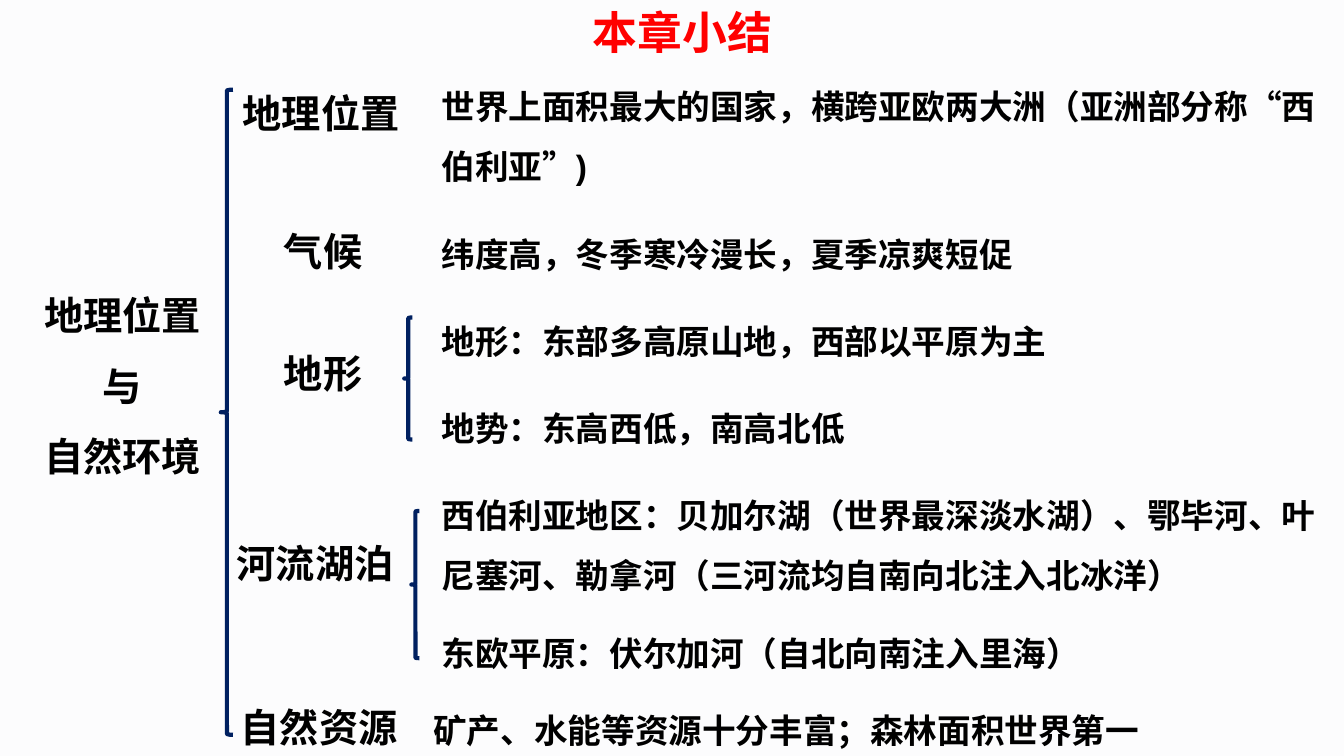
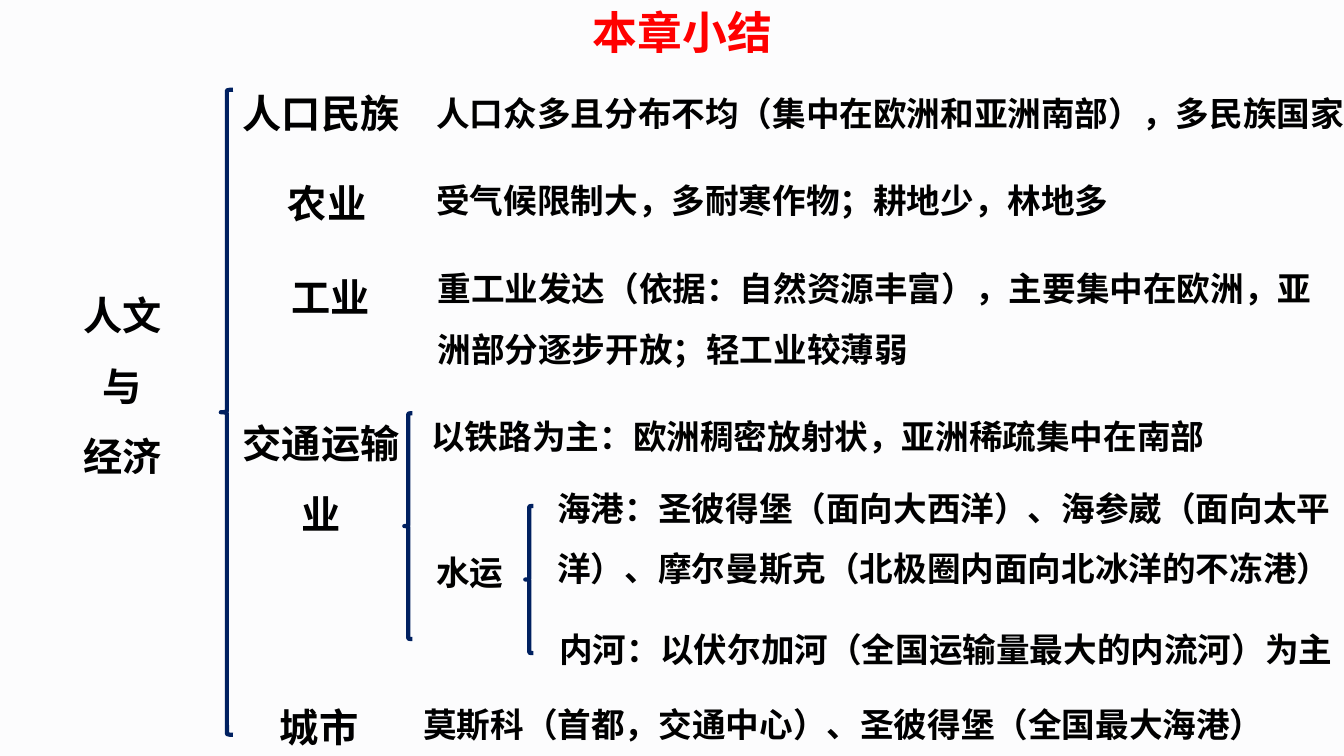
from dataclasses import dataclass

from lxml.etree import SubElement
from pptx import Presentation
from pptx.dml.color import RGBColor
from pptx.enum.shapes import MSO_SHAPE
from pptx.enum.text import MSO_AUTO_SIZE, PP_ALIGN
from pptx.oxml.ns import qn
from pptx.util import Pt

PX = 9144
PAPER = RGBColor(0xFC, 0xFC, 0xFD)
RED = RGBColor(0xFF, 0x00, 0x00)
BLACK = RGBColor(0x00, 0x00, 0x00)
NAVY = RGBColor(0x00, 0x20, 0x60)
LATIN_FONT = "Arial"
HAN_FONT = "Noto Sans CJK SC"
TITLE = "本章小结"
LABEL_SIZE, DETAIL_SIZE = 28, 24
LABEL_WIDTH, DETAIL_WIDTH = 183, 905


@dataclass
class Detail:
    """A statement, placed from the corner of its branch."""
    text: str
    dx: int
    dy: int
    lines: int = 1
    width: int = DETAIL_WIDTH


@dataclass
class Brace:
    """A brace, placed from the corner of its branch."""
    dx: int
    dy: int
    height: int


@dataclass
class Branch:
    """One topic with its statements and braces."""
    label: str
    left: int
    top: int
    details: tuple
    braces: tuple = ()
    lines: int = 1


def px(*lengths):
    """Turn px lengths into EMU."""
    return [length * PX for length in lengths]


def add_text(slide, text, box, size, color=BLACK, font=LATIN_FONT,
             align=None, spacing=None, wrap=True):
    """Add bold text that grows its box."""
    frame = slide.shapes.add_textbox(*px(*box)).text_frame
    frame.text = text
    frame.word_wrap = wrap
    frame.auto_size = MSO_AUTO_SIZE.SHAPE_TO_FIT_TEXT
    for paragraph in frame.paragraphs:
        paragraph.alignment = align
        paragraph.line_spacing = spacing
        for run in paragraph.runs:
            run.font.name = font
            run.font.size = Pt(size)
            run.font.bold = True
            run.font.color.rgb = color
            SubElement(run.font._element, qn("a:ea"), typeface=HAN_FONT)


def add_lines(slide, text, left, top, width, lines, size, align=None):
    """Add text at 1.5 line spacing in a box as tall as its lines."""
    height = 11 + lines * size * 5 // 2
    add_text(slide, text, (left, top, width, height), size,
             align=align, spacing=1.5)


def add_label(slide, text, left, top, lines):
    """Add a centred topic label."""
    add_lines(slide, text, left, top, LABEL_WIDTH, lines, LABEL_SIZE,
              PP_ALIGN.CENTER)


def add_brace(slide, left, top, width, height):
    """Add an unfilled navy left brace."""
    brace = slide.shapes.add_shape(MSO_SHAPE.LEFT_BRACE,
                                   *px(left, top, width, height))
    brace.shadow.inherit = False
    brace.fill.background()
    brace.line.color.rgb = NAVY
    brace.line.width = Pt(3)


def add_branch(slide, branch):
    """Place a label, its braces and its details from the branch corner."""
    left, top = branch.left, branch.top
    add_label(slide, branch.label, left, top, branch.lines)
    for brace in branch.braces:
        add_brace(slide, left + brace.dx, top + brace.dy, 8, brace.height)
    for detail in branch.details:
        add_lines(slide, detail.text, left + detail.dx, top + detail.dy,
                  detail.width, detail.lines, DETAIL_SIZE)


def add_summary(deck, theme_lines, branches):
    """Build one summary slide: title, theme, main brace and branches."""
    slide = deck.slides.add_slide(deck.slide_layouts[6])
    add_text(slide, TITLE, (578, 0, 198, 64), 32, RED, HAN_FONT, wrap=False)
    add_label(slide, "\n".join(theme_lines), 30, 261, len(theme_lines))
    add_brace(slide, 219, 89, 12, 640)
    for branch in branches:
        add_branch(slide, branch)


ENVIRONMENT = (
    Branch("地理位置", 227, 60, (
        Detail("世界上面积最大的国家，横跨亚欧两大洲（亚洲部分称“西伯利亚”)", 201, 0, 2),)),
    Branch("气候", 229, 197, (
        Detail("纬度高，冬季寒冷漫长，夏季凉爽短促", 199, 10),)),
    Branch("地形", 229, 318, (
        Detail("地形：东部多高原山地，西部以平原为主", 199, -25),
        Detail("地势：东高西低，南高北低", 199, 62)),
        (Brace(172, -3, 121),)),
    Branch("河流湖泊", 221, 507, (
        Detail("西伯利亚地区：贝加尔湖（世界最深淡水湖）、鄂毕河、叶尼塞河、"
               "勒拿河（三河流均自南向北注入北冰洋）", 207, -41, 2),
        Detail("东欧平原：伏尔加河（自北向南注入里海）", 207, 96)),
        (Brace(187, 0, 146),)),
    Branch("自然资源", 225, 669, (
        Detail("矿产、水能等资源十分丰富；森林面积世界第一", 195, 10),)),
)

ECONOMY = (
    Branch("人口民族", 227, 60, (
        Detail("人口众多且分布不均（集中在欧洲和亚洲南部），多民族国家", 196, 7,
               width=1003),)),
    Branch("农业", 233, 150, (
        Detail("受气候限制大，多耐寒作物；耕地少，林地多", 190, 4),)),
    Branch("工业", 236, 243, (
        Detail("重工业发达（依据：自然资源丰富），主要集中在欧洲，"
               "亚洲部分逐步开放；轻工业较薄弱", 188, -2, 2),)),
    Branch("交通运输业", 227, 388, (
        Detail("以铁路为主：欧洲稠密放射状，亚洲稀疏集中在南部", 191, 0),
        Detail("水运", 196, 135),
        Detail("海港：圣彼得堡（面向大西洋）、海参崴（面向太平洋）、"
               "摩尔曼斯克（北极圈内面向北冰洋的不冻港）", 316, 71, 2, 800),
        Detail("内河：以伏尔加河（全国运输量最大的内流河）为主", 318, 211, width=797)),
        (Brace(174, 22, 224), Brace(294, 114, 146)), 2),
    Branch("城市", 225, 669, (
        Detail("莫斯科（首都，交通中心）、圣彼得堡（全国最大海港）", 185, 4),)),
)


def main():
    """Build and save the deck."""
    deck = Presentation()
    deck.slide_width, deck.slide_height = px(1333, 750)
    paper = deck.slide_master.background.fill
    paper.solid()
    paper.fore_color.rgb = PAPER
    add_summary(deck, ("地理位置", "与", "自然环境"), ENVIRONMENT)
    add_summary(deck, ("人文", "与", "经济"), ECONOMY)
    deck.save("out.pptx")


if __name__ == "__main__":
    main()
